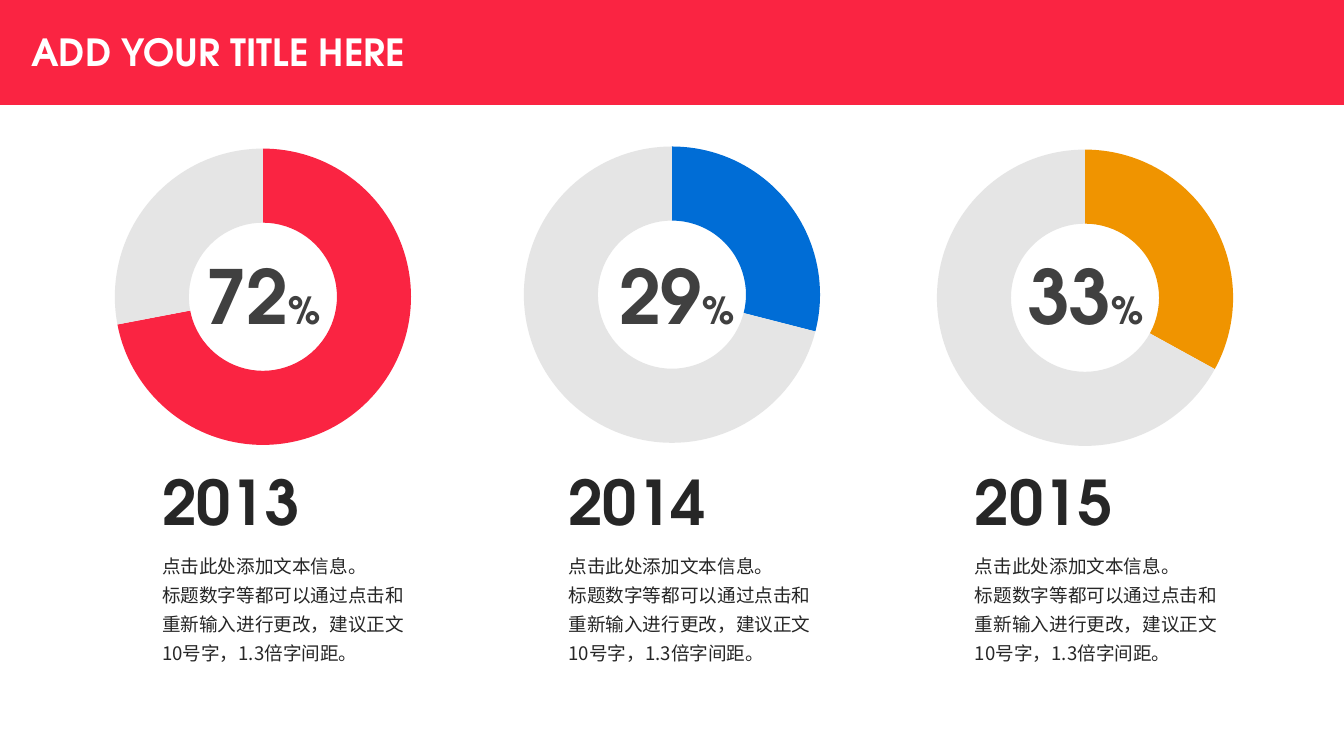
from pptx import Presentation
from pptx.chart.data import CategoryChartData as ChartData
from pptx.dml.color import RGBColor as Rgb
from pptx.enum.chart import XL_CHART_TYPE as Kind
from pptx.enum.shapes import MSO_SHAPE as Shape
from pptx.enum.text import MSO_ANCHOR as Anchor, PP_ALIGN as Align
from pptx.oxml import parse_xml
from pptx.oxml.ns import nsdecls, qn
from pptx.util import Pt

HUES = {"red": "FA2442", "blue": "006DD6", "gold": "F09400", "pale": "E5E5E5",
        "gray": "404040", "dark": "262626", "white": "FFFFFF"}
LATIN, HAN = "TeX Gyre Adventor", "Noto Sans CJK SC"
WIDE, HIGH = 960.48, 540
RING_W, RING_H, DISC = 347, 231, 211.7
NOTES = ["点击此处添加文本信息。",
         "标题数字等都可以通过点击和重新输入进行更改，建议正文10号字，1.3倍字间距。"]
RINGS = [(72, "red", (14.4, 96.5), 132.5),
         (29, "blue", (306.7, 95), 428.4),
         (33, "gold", (601.9, 97.2), 720.7)]


def hue(name):
    """Return the named colour."""
    return Rgb.from_string(HUES[name])


def style(run, size, tint, face=LATIN, bold=True):
    """Format one run, for Latin and Han letters alike."""
    font = run.font
    font.size, font.bold, font.name = Pt(size), bold, face
    font.color.rgb = hue(tint)
    font._element.find(qn("a:latin")).addnext(
        parse_xml(f'<a:ea {nsdecls("a")} typeface="{face}"/>'))


def add_text(slide, box, lines, wrap=True):
    """Add a text box holding the given lines and return its frame."""
    frame = slide.shapes.add_textbox(*map(Pt, box)).text_frame
    frame.word_wrap = wrap
    frame.text = "\n".join(lines)
    return frame


def add_head(slide, box):
    """Fill the box with a red band and set the title on it."""
    x, y, w, h = box
    band = slide.shapes.add_shape(Shape.RECTANGLE, *map(Pt, box))
    band.shadow.inherit = False
    band.fill.solid()
    band.fill.fore_color.rgb = hue("red")
    band.line.fill.background()
    title = slide.shapes.title
    title.element.addprevious(band.element)
    title.left, title.top, title.width, title.height = map(
        Pt, (x + 15.1, y + 15.8, 288.7, 42.5))
    frame = title.text_frame
    frame.text = "ADD YOUR TITLE HERE"
    frame.word_wrap = True
    frame.vertical_anchor = Anchor.MIDDLE
    line = frame.paragraphs[0]
    line.alignment = Align.LEFT
    style(line.runs[0], 26.7, "white")


def add_ring(slide, box, share, tint):
    """Draw a doughnut centred in the box."""
    data = ChartData()
    data.categories = ["1", "2"]
    data.add_series("Series 1", (share, 100 - share))
    chart = slide.shapes.add_chart(Kind.DOUGHNUT, *map(Pt, box), data).chart
    chart.has_legend = chart.has_title = False
    chart.font.size, chart.font.name = Pt(10), LATIN
    chart.font.color.rgb = hue("white")
    plot = chart.plots[0]
    plot.vary_by_categories = True
    plot.has_data_labels = False
    for i, name in enumerate((tint, "pale")):
        form = plot.series[0].points[i].format
        form.fill.solid()
        form.fill.fore_color.rgb = hue(name)
        form.line.fill.background()
    root = chart.element
    root.xpath(".//c:holeSize")[0].set("val", "75")
    area = root.xpath(".//c:plotArea")[0]
    for old in area.findall(qn("c:layout")):
        area.remove(old)
    w, h = DISC / box[2], DISC / box[3]
    spots = {"x": (1 - w) / 2, "y": (1 - h) / 2, "w": w, "h": h}
    parts = "".join(f'<c:{k} val="{v:.4f}"/>' for k, v in spots.items())
    area.insert(0, parse_xml(
        f'<c:layout {nsdecls("c")}><c:manualLayout><c:layoutTarget val="inner"/>'
        f'<c:xMode val="edge"/><c:yMode val="edge"/>{parts}'
        '</c:manualLayout></c:layout>'))


def add_share(slide, box, share):
    """Set the share, with a small percent sign, in the box."""
    line = add_text(slide, box, [str(share)]).paragraphs[0]
    line.alignment = Align.CENTER
    line.add_run().text = "%"
    for run, size in zip(line.runs, (53.3, 26.7)):
        style(run, size, "gray")


def add_year(slide, box, year):
    """Set the year at the top of the box and the notes below it."""
    x, y, w, h = box
    top = 60.5
    frame = add_text(slide, (x, y, 113.8, top), [str(year)], False)
    style(frame.paragraphs[0].runs[0], 44, "dark")
    frame = add_text(slide, (x, y + top, w, h - top), NOTES)
    for line in frame.paragraphs:
        line.line_spacing = 1.3
        style(line.runs[0], 13.3, "dark", HAN, False)


def main():
    """Build and save the slide."""
    deck = Presentation()
    deck.slide_width, deck.slide_height = Pt(WIDE), Pt(HIGH)
    slide = deck.slides.add_slide(deck.slide_layouts[5])
    add_head(slide, (0, 0, WIDE, 74.9))
    for share, tint, spot, _ in RINGS:
        add_ring(slide, (*spot, RING_W, RING_H), share, tint)
    for i, (share, _, _, left) in enumerate(RINGS):
        add_share(slide, (left, 175, 110.9, 72), share)
        add_year(slide, (108.7 + 290.5 * i, 327.6, 195.1, 152), 2013 + i)
    deck.save("out.pptx")


if __name__ == "__main__":
    main()
